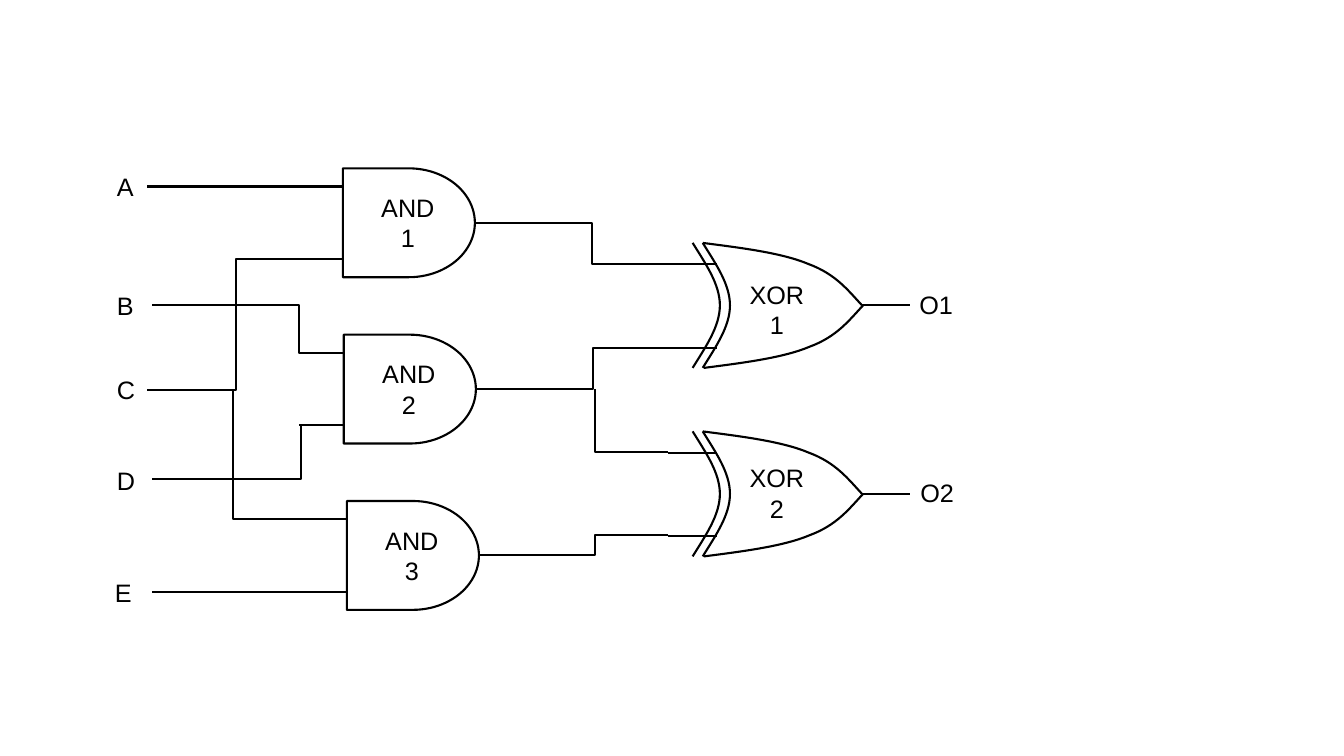
from dataclasses import dataclass

import pptx
import pptx.dml.color
import pptx.enum.shapes
import pptx.enum.text
import pptx.oxml.ns
import pptx.util
from pptx.util import Inches

COLORS = {"ink": "000000"}
FONT = "Arial"
Point = tuple[float, float]


@dataclass(frozen=True)
class Gate:
    """A logic gate: its name, left edge, centre height and text top."""
    name: str
    left: float
    middle: float
    text_top: float


@dataclass(frozen=True)
class Wire:
    """A wire from start to end, turning at x = bend if one is given."""
    start: Point
    end: Point
    bend: float | None = None


@dataclass(frozen=True)
class Signal:
    """A signal name and the place of its text box."""
    name: str
    left: float
    top: float
    width: float = .38


AND_GATES = [Gate("AND\n1", 3.4, 2.21, 1.86), Gate("AND\n2", 3.41, 3.86, 3.51),
             Gate("AND\n3", 3.44, 5.51, 5.16)]
XOR_GATES = [Gate("XOR\n1", 6.97, 3.03, 2.72), Gate("XOR\n2", 6.97, 4.9, 4.54)]
WIRES = [
    Wire((1.46, 1.85), (2.97, 1.85)),
    Wire((1.51, 5.87), (3.02, 5.87)),
    Wire((1.46, 3.87), (2.97, 2.57), 2.34),
    Wire((3.02, 5.15), (2.31, 3.86), 2.31),
    Wire((1.51, 3.03), (2.99, 3.5), 2.97),
    Wire((1.51, 4.75), (2.99, 4.22), 2.99),
    Wire((5.12, 2.21), (6.63, 2.62), 5.87),
    Wire((5.14, 3.86), (6.63, 3.45), 5.88),
    Wire((5.9, 3.86), (6.63, 4.48), 5.9),
    Wire((5.17, 5.51), (6.63, 5.31), 5.9),
]
SIGNALS = [Signal("A", 1.06, 1.65), Signal("B", 1.06, 2.83), Signal("C", 1.06, 3.66),
           Signal("D", 1.06, 4.57), Signal("E", 1.04, 5.68),
           Signal("O1", 9.02, 2.82, .54), Signal("O2", 9.03, 4.69, .54)]

# Bezier points of an XOR gate, relative to its left edge and centre height
XOR_TOP = [(0, -.62), (.39, -.57), (.79, -.52), (1.05, -.41),
           (1.32, -.31), (1.44, -.15), (1.58, 0)]
XOR_BOTTOM = [(x + .01, -y) for x, y in XOR_TOP]
XOR_BACK = [(0, -.62), (.13, -.41), (.27, -.21), (.27, 0),
            (.27, .21), (.13, .41), (0, .62)]
XOR_GUARD = [(x - .1, y) for x, y in XOR_BACK]


def add_child(parent, tag: str, **attributes: str):
    """Append a new XML element to a parent and return it."""
    child = parent.makeelement(pptx.oxml.ns.qn(tag), attributes)
    parent.append(child)
    return child


def style_line(line) -> None:
    """Give an outline or wire the diagram's black stroke."""
    line.color.rgb = pptx.dml.color.RGBColor.from_string(COLORS["ink"])
    line.width = pptx.util.Pt(1.5)


def style_outline(shape) -> None:
    """Leave a shape with nothing but its outline."""
    shape.shadow.inherit = False
    shape.fill.background()
    style_line(shape.line)


def add_wire(slide, wire: Wire) -> None:
    """Draw a straight or bent wire."""
    kinds = pptx.enum.shapes.MSO_CONNECTOR
    kind = kinds.STRAIGHT if wire.bend is None else kinds.ELBOW
    ends = [Inches(value) for value in (*wire.start, *wire.end)]
    connector = slide.shapes.add_connector(kind, *ends)
    style_line(connector.line)
    properties = connector._element.spPr
    add_child(properties, "a:effectLst")
    if wire.bend is not None:
        share = (wire.bend - wire.start[0]) / (wire.end[0] - wire.start[0])
        guides = properties.find(pptx.oxml.ns.qn("a:prstGeom")).get_or_add_avLst()
        add_child(guides, "a:gd", name="adj1", fmla=f"val {round(share * 100000)}")


def add_text(slide, text: str, left: float, top: float, width: float,
             height: float, centred: bool = False) -> None:
    """Write unwrapped text in the diagram's font."""
    box = slide.shapes.add_textbox(*map(Inches, (left, top, width, height)))
    frame = box.text_frame
    frame.word_wrap = False
    frame.auto_size = pptx.enum.text.MSO_AUTO_SIZE.SHAPE_TO_FIT_TEXT
    frame.text = text
    aligns = pptx.enum.text.PP_ALIGN
    for paragraph in frame.paragraphs:
        paragraph.alignment = aligns.CENTER if centred else aligns.LEFT
        for run in paragraph.runs:
            run.font.name = FONT
            run.font.size = pptx.util.Pt(18)
            run.font.color.rgb = pptx.dml.color.RGBColor.from_string(COLORS["ink"])


def add_curve(slide, gate: Gate, controls: list[Point]) -> None:
    """Draw one open Bezier curve of an XOR gate."""
    points = [(Inches(gate.left + x), Inches(gate.middle + y)) for x, y in controls]
    builder = slide.shapes.build_freeform(*points[0])
    builder.add_line_segments(points[1:], close=False)
    curve = builder.convert_to_shape()
    style_outline(curve)
    outline = next(curve._element.iter(pptx.oxml.ns.qn("a:path")))
    segments = outline.findall(pptx.oxml.ns.qn("a:lnTo"))
    for first in range(0, len(segments), 3):
        bezier = add_child(outline, "a:cubicBezTo")
        for segment in segments[first:first + 3]:
            bezier.append(segment[0])
            outline.remove(segment)


def add_and_gate(slide, gate: Gate) -> None:
    """Draw an AND gate with two inputs and an output."""
    body = slide.shapes.add_shape(
        pptx.enum.shapes.MSO_SHAPE.FLOWCHART_DELAY, Inches(gate.left),
        Inches(gate.middle - .54), Inches(1.31), Inches(1.08))
    style_outline(body)
    for offset in (-.36, .36):
        height = gate.middle + offset
        add_wire(slide, Wire((gate.left - .44, height), (gate.left, height)))
    output = gate.left + 1.31
    add_wire(slide, Wire((output, gate.middle), (output + .44, gate.middle)))
    add_text(slide, gate.name, gate.left - .43, gate.text_top, 2.15, .71, True)


def add_xor_gate(slide, gate: Gate) -> None:
    """Draw an XOR gate with two inputs and an output."""
    output = gate.left + 1.58
    add_wire(slide, Wire((output, gate.middle), (output + .48, gate.middle)))
    for offset in (-.41, .42):
        height = gate.middle + offset
        add_wire(slide, Wire((gate.left - .34, height), (gate.left + .14, height)))
    for controls in (XOR_TOP, XOR_BOTTOM, XOR_BACK, XOR_GUARD):
        add_curve(slide, gate, controls)
    add_text(slide, gate.name, gate.left + .36, gate.text_top, .75, .71, True)


def main() -> None:
    """Build the logic circuit slide."""
    deck = pptx.Presentation()
    deck.slide_width, deck.slide_height = Inches(13.33), Inches(7.5)
    slide = deck.slides.add_slide(deck.slide_layouts[6])
    for gate in AND_GATES:
        add_and_gate(slide, gate)
    for gate in XOR_GATES:
        add_xor_gate(slide, gate)
    for wire in WIRES:
        add_wire(slide, wire)
    for signal in SIGNALS:
        add_text(slide, signal.name, signal.left, signal.top, signal.width, .4)
    deck.save("out.pptx")


main()
